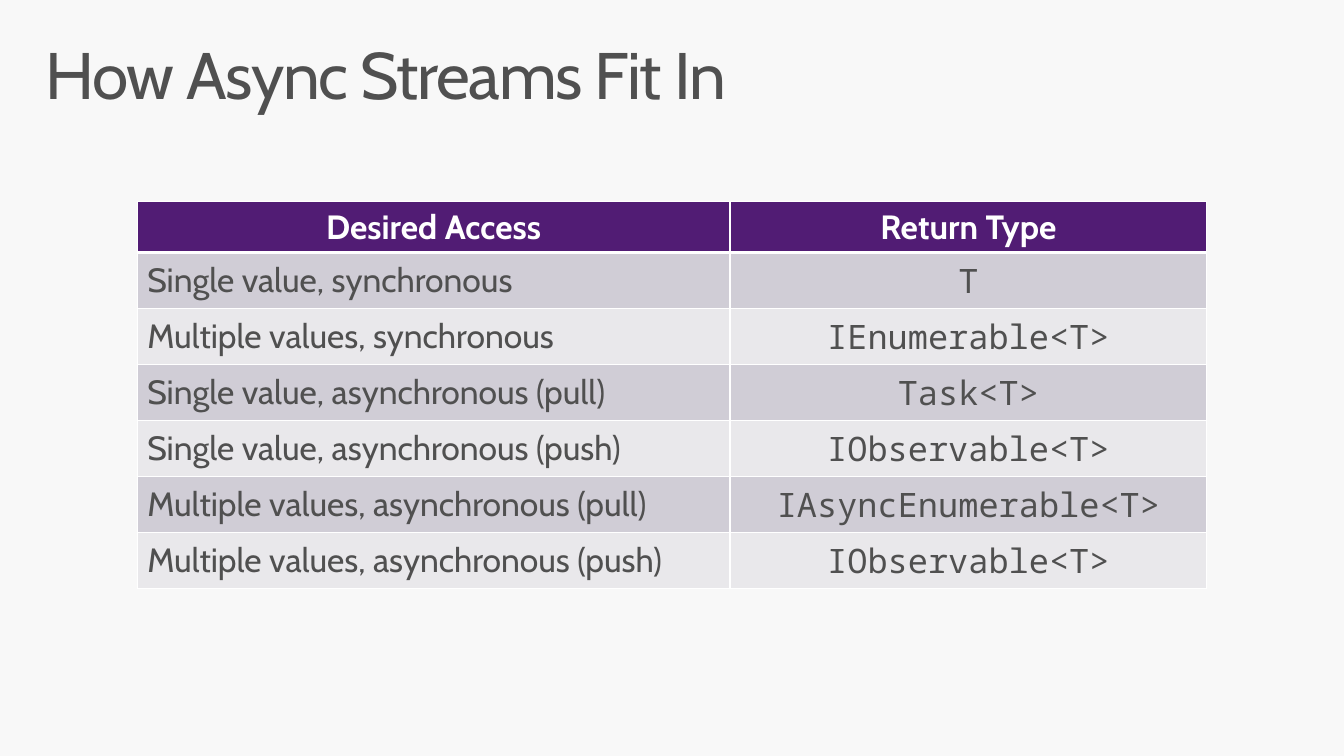
from lxml.etree import SubElement
from pptx import Presentation
from pptx.dml.color import RGBColor
from pptx.enum.text import MSO_ANCHOR, MSO_AUTO_SIZE, PP_ALIGN
from pptx.oxml.ns import qn
from pptx.util import Pt

TITLE = "How Async Streams Fit In"
HEADER = ("Desired Access", "Return Type")
ROWS = [
    ("Single value, synchronous", "T"),
    ("Multiple values, synchronous", "IEnumerable<T>"),
    ("Single value, asynchronous (pull)", "Task<T>"),
    ("Single value, asynchronous (push)", "IObservable<T>"),
    ("Multiple values, asynchronous (pull)", "IAsyncEnumerable<T>"),
    ("Multiple values, asynchronous (push)", "IObservable<T>"),
]
COLORS = {
    "background": "F8F8F8",
    "text": "505050",
    "white": "FFFFFF",
    "header": "511C74",
    "dark band": "D0CDD6",
    "light band": "E9E8EB",
}
SANS, MONO = "Cabin", "Noto Sans Mono"
TABLE_LEFT, TABLE_TOP = 98, 144
COLUMN_WIDTHS = (423.4, 340.6)
HEADER_HEIGHT, ROW_HEIGHT = 35.7, 40


def color(name):
    return RGBColor.from_string(COLORS[name])


def write(frame, text, size=24, font=SANS, ink="text", bold=False, align=PP_ALIGN.LEFT):
    para = frame.paragraphs[0]
    para.alignment = align
    span = para.add_run()
    span.text = text
    span.font.size = Pt(size)
    span.font.name = font
    span.font.bold = bold
    span.font.color.rgb = color(ink)
    return para, span


def fill_cell(cell, band, bottom_width):
    properties = cell._tc.get_or_add_tcPr()
    for side, width in (("L", 1), ("R", 1), ("T", 1), ("B", bottom_width)):
        line = SubElement(properties, qn(f"a:ln{side}"), w=str(Pt(width)))
        solid = SubElement(line, qn("a:solidFill"))
        SubElement(solid, qn("a:srgbClr"), val=COLORS["white"])
    cell.fill.solid()
    cell.fill.fore_color.rgb = color(band)
    cell.vertical_anchor = MSO_ANCHOR.MIDDLE


def add_title(page):
    title = page.shapes.title
    title.left, title.top, title.width, title.height = Pt(21), Pt(23), Pt(918), Pt(70.5)
    frame = title.text_frame
    frame.word_wrap = True
    frame.auto_size = MSO_AUTO_SIZE.NONE
    frame.vertical_anchor = MSO_ANCHOR.TOP
    frame.margin_left = frame.margin_right = Pt(11.5)
    frame.margin_top = frame.margin_bottom = Pt(7.2)
    para, span = write(frame, TITLE, size=47)
    para.line_spacing = 0.9
    span.font._element.set("spc", "-100")


def add_access_table(page):
    heights = [HEADER_HEIGHT] + [ROW_HEIGHT] * len(ROWS)
    table = page.shapes.add_table(
        len(heights), len(HEADER), Pt(TABLE_LEFT), Pt(TABLE_TOP),
        Pt(sum(COLUMN_WIDTHS)), Pt(sum(heights)),
    ).table
    for column, width in zip(table.columns, COLUMN_WIDTHS):
        column.width = Pt(width)
    for row, height in zip(table.rows, heights):
        row.height = Pt(height)
    for index, text in enumerate(HEADER):
        cell = table.cell(0, index)
        fill_cell(cell, "header", 3)
        write(cell.text_frame, text, ink="white", bold=True, align=PP_ALIGN.CENTER)
    for number, (access, return_type) in enumerate(ROWS, start=1):
        band = "dark band" if number % 2 else "light band"
        access_cell, type_cell = table.cell(number, 0), table.cell(number, 1)
        for cell in (access_cell, type_cell):
            fill_cell(cell, band, 1)
        write(access_cell.text_frame, access)
        write(type_cell.text_frame, return_type, font=MONO, align=PP_ALIGN.CENTER)


def main():
    deck = Presentation()
    deck.slide_width, deck.slide_height = Pt(960), Pt(540)
    page = deck.slides.add_slide(deck.slide_layouts[5])
    page.background.fill.solid()
    page.background.fill.fore_color.rgb = color("background")
    add_title(page)
    add_access_table(page)
    deck.save("out.pptx")


if __name__ == "__main__":
    main()
